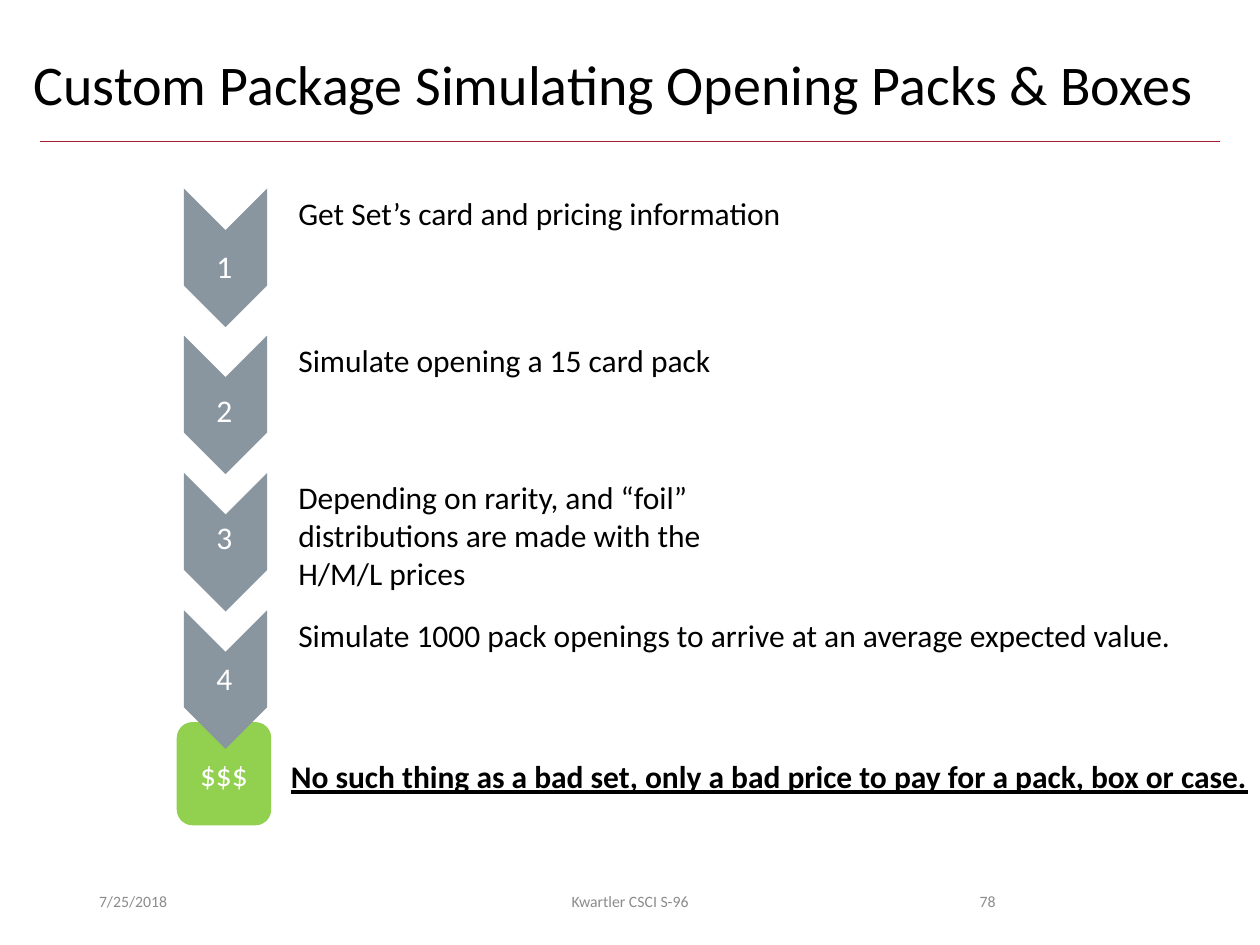
"""Build the slide on simulating the opening of card packs and boxes."""
import pptx
import pptx.dml.color
import pptx.enum.shapes
import pptx.enum.text
import pptx.oxml
import pptx.util

Pt = pptx.util.Pt
Align = pptx.enum.text.PP_ALIGN
Anchor = pptx.enum.text.MSO_ANCHOR
Shape = pptx.enum.shapes.MSO_SHAPE

COLOURS = {
    "rule": "A51C30",
    "chevron": "8996A0",
    "money": "92D050",
    "ink": "000000",
    "light": "FFFFFF",
    "footer": "8C8C8C",
}
FONT = "Calibri"
LINE_HEIGHT = 29
STEPS = [
    ("Get Set’s card and pricing information", 107.3, 293.8, 137.5),
    ("Simulate opening a 15 card pack", 191.3, 253.4, 219.6),
    ("Depending on rarity, and “foil” distributions are made with the H/M/L prices", 269.8, 256.3, 292.3),
    ("Simulate 1000 pack openings to arrive at an average expected value.", 348.3, 537.8, 373),
]
FOOTERS = [
    ("7/25/2018", 49.5, 162, Align.LEFT),
    ("78", 508.5, 67.5, Align.RIGHT),
    ("Kwartler CSCI S-96", 238.5, 243, Align.CENTER),
]


def colour(name):
    return pptx.dml.color.RGBColor.from_string(COLOURS[name])


def write(frame, text, size=18, ink="ink", align=Align.LEFT, strong=False):
    para = frame.paragraphs[0]
    para.alignment = align
    span = para.add_run()
    span.text = text
    span.font.name = FONT
    span.font.size = Pt(size)
    span.font.color.rgb = colour(ink)
    if strong:
        span.font.bold = True
        span.font.underline = True
    return para


def add_text(page, text, left, top, width, height=LINE_HEIGHT, wrap=False, anchor=Anchor.TOP, **style):
    box = page.shapes.add_textbox(Pt(left), Pt(top), Pt(width), Pt(height))
    box.text_frame.word_wrap = wrap
    box.text_frame.vertical_anchor = anchor
    return write(box.text_frame, text, **style)


def add_block(page, kind, left, top, width, height, fill):
    block = page.shapes.add_shape(kind, Pt(left), Pt(top), Pt(width), Pt(height))
    block.shadow.inherit = False
    block.fill.solid()
    block.fill.fore_color.rgb = colour(fill)
    block.line.fill.background()
    return block


def add_rule(page, left, right, top):
    rule = page.shapes.add_connector(
        pptx.enum.shapes.MSO_CONNECTOR.STRAIGHT, Pt(left), Pt(top), Pt(right), Pt(top))
    rule.line.color.rgb = colour("rule")
    rule.line.width = Pt(0.5)
    properties = rule.line._get_or_add_ln().getparent()
    properties.append(pptx.oxml.parse_xml(
        '<a:effectLst xmlns:a="http://schemas.openxmlformats.org/drawingml/2006/main"/>'))


def add_step(page, text, top, width):
    wraps = len(text) > 70
    add_text(page, text, 163.4, top, width, 72.7 if wraps else LINE_HEIGHT, wrap=wraps)
    add_block(page, Shape.CHEVRON, 89.3, top + 16.3, 79.2, 47.5, "chevron").rotation = 90


def main():
    deck = pptx.Presentation()
    deck.slide_width, deck.slide_height = Pt(720), Pt(540)
    page = deck.slides.add_slide(deck.slide_layouts[6])

    add_rule(page, 23, 697, 80.8)
    money = add_block(page, Shape.ROUNDED_RECTANGLE, 101, 412.6, 54, 59, "money")
    money.text_frame.vertical_anchor = Anchor.MIDDLE
    write(money.text_frame, "$$$", ink="light", align=Align.CENTER)

    title = add_text(page, "Custom Package Simulating Opening Packs & Boxes",
                     12.2, 28.8, 686.2, 46.8, wrap=True, size=32)
    title.line_spacing = 0.9
    for text, left, width, align in FOOTERS:
        add_text(page, text, left, 500.5, width, 28.75, wrap=True,
                 anchor=Anchor.MIDDLE, size=9, ink="footer", align=align)

    for text, top, width, _ in STEPS:
        add_step(page, text, top, width)
    for number, (_, _, _, top) in enumerate(STEPS, 1):
        add_text(page, str(number), 116.6, top, 23.8, ink="light")
    add_text(page, "No such thing as a bad set, only a bad price to pay for a pack, box or case.",
             159.1, 429.1, 565.9, strong=True)

    deck.save("out.pptx")


if __name__ == "__main__":
    main()
